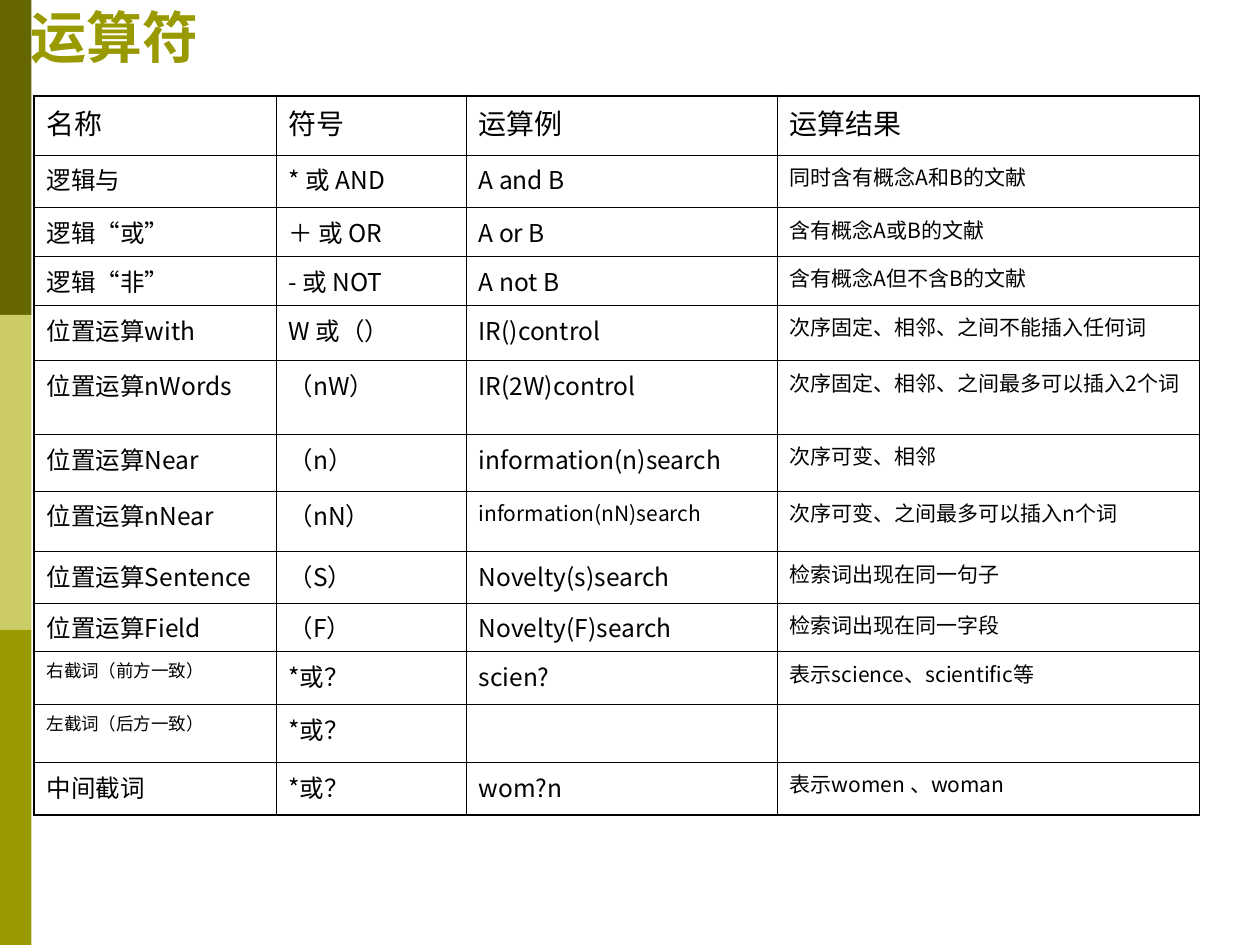
from dataclasses import dataclass
from typing import Any

from lxml.etree import SubElement
from pptx import Presentation
from pptx.dml.color import RGBColor
from pptx.enum.lang import MSO_LANGUAGE_ID
from pptx.enum.shapes import MSO_SHAPE
from pptx.enum.text import MSO_ANCHOR, MSO_AUTO_SIZE, PP_ALIGN
from pptx.oxml.ns import qn
from pptx.util import Inches, Pt

BAR_COLORS = ["666600", "CCCC66", "999900"]
COLUMN_WIDTHS = [1.92, 1.51, 2.47, 3.35]
ROW_HEIGHTS = [0.47, 0.42, 0.37, 0.39, 0.44, 0.55, 0.45,
               0.48, 0.41, 0.37, 0.42, 0.46, 0.42]
OPERATORS = [
    ["名称", "符号", "运算例", "运算结果"],
    ["逻辑与", "* 或 AND", "A and B", "同时含有概念A和B的文献"],
    ["逻辑“或”", "＋ 或 OR", "A or B", "含有概念A或B的文献"],
    ["逻辑“非”", "- 或 NOT", "A not B", "含有概念A但不含B的文献"],
    ["位置运算with", "W 或（）", "IR()control", "次序固定、相邻、之间不能插入任何词"],
    ["位置运算nWords", "（nW）", "IR(2W)control", "次序固定、相邻、之间最多可以插入2个词"],
    ["位置运算Near", "（n）", "information(n)search", "次序可变、相邻"],
    ["位置运算nNear", "（nN）", "information(nN)search", "次序可变、之间最多可以插入n个词"],
    ["位置运算Sentence", "（S）", "Novelty(s)search", "检索词出现在同一句子"],
    ["位置运算Field", "（F）", "Novelty(F)search", "检索词出现在同一字段"],
    ["右截词（前方一致）", "*或？", "scien?", "表示science、scientific等"],
    ["左截词（后方一致）", "*或？", "", ""],
    ["中间截词", "*或？", "wom?n", "表示women 、woman"],
]
HEADER_SIZE = 16
COLUMN_SIZES = [14, 14, 14, 12]
SPECIAL_SIZES = {(7, 2): 12, (10, 0): 10, (11, 0): 10}


def rgb(color):
    return RGBColor.from_string(color)


def apply(target, values):
    for name, value in values.items():
        setattr(target, name, value)


def text_size(row, column):
    if row == 0:
        return HEADER_SIZE
    return SPECIAL_SIZES.get((row, column), COLUMN_SIZES[column])


@dataclass
class OperatorSlide:
    slide: Any
    font: str = "Noto Sans CJK SC"
    accent: str = "999900"
    ink: str = "000000"
    paper: str = "FFFFFF"
    outer_line: float = 1.08
    inner_line: float = 0.45

    def text(self, paragraph, words, size, color, bold=False):
        run = paragraph.add_run()
        run.text = words
        apply(run.font, {"size": Pt(size), "bold": bold, "name": self.font,
                         "language_id": MSO_LANGUAGE_ID.SIMPLIFIED_CHINESE})
        run.font.color.rgb = rgb(color)
        SubElement(run.font._element, qn("a:ea"), typeface=self.font)

    def title(self, words, left, top, width, height):
        title = self.slide.shapes.title
        apply(title, {"left": Inches(left), "top": Inches(top),
                      "width": Inches(width), "height": Inches(height)})
        apply(title.text_frame, {
            "auto_size": MSO_AUTO_SIZE.NONE, "word_wrap": True,
            "vertical_anchor": MSO_ANCHOR.BOTTOM,
            "margin_left": Inches(0.24), "margin_right": Inches(0.1),
            "margin_top": Inches(0.05), "margin_bottom": Inches(0.05)})
        paragraph = title.text_frame.paragraphs[0]
        paragraph.alignment = PP_ALIGN.LEFT
        self.text(paragraph, words, 32, self.accent, bold=True)

    def bar(self, color, left, top, width, height):
        bar = self.slide.shapes.add_shape(
            MSO_SHAPE.RECTANGLE, Inches(left), Inches(top), Inches(width), Inches(height))
        bar.shadow.inherit = False
        bar.fill.solid()
        bar.fill.fore_color.rgb = rgb(color)
        bar.line.fill.background()

    def borders(self, cell, outer_sides):
        """Draw all four cell borders, heavier on the outer sides."""
        properties = cell._tc.get_or_add_tcPr()
        for side in "LRTB":
            width = self.outer_line if side in outer_sides else self.inner_line
            line = SubElement(properties, qn(f"a:ln{side}"), w=str(Pt(width)))
            fill = SubElement(line, qn("a:solidFill"))
            SubElement(fill, qn("a:srgbClr"), val=self.ink)

    def table(self, rows, left, top, widths, heights):
        table = self.slide.shapes.add_table(
            len(rows), len(widths), Inches(left), Inches(top),
            Inches(sum(widths)), Inches(sum(heights))).table
        apply(table, {"first_row": False, "horz_banding": False})
        for column, width in zip(table.columns, widths):
            column.width = Inches(width)
        for row, height in zip(table.rows, heights):
            row.height = Inches(height)
        for r, words_in_row in enumerate(rows):
            for c, words in enumerate(words_in_row):
                cell = table.cell(r, c)
                edges = {"L": c == 0, "R": c == len(widths) - 1,
                         "T": r == 0, "B": r == len(rows) - 1}
                self.borders(cell, [side for side, outer in edges.items() if outer])
                cell.fill.solid()
                cell.fill.fore_color.rgb = rgb(self.paper)
                if words:
                    size = text_size(r, c)
                    paragraph = cell.text_frame.paragraphs[0]
                    paragraph.space_before = Pt(size / 4)
                    self.text(paragraph, words, size, self.ink)


def main():
    presentation = Presentation()
    apply(presentation, {"slide_width": Inches(10), "slide_height": Inches(7.5)})
    page = OperatorSlide(presentation.slides.add_slide(presentation.slide_layouts[5]))
    bar_height = 7.5 / len(BAR_COLORS)
    for i, color in enumerate(BAR_COLORS):
        page.bar(color, 0, i * bar_height, 0.25, bar_height)
    page.title("运算符", 0, 0, 8.5, 0.6)
    page.table(OPERATORS, 0.27, 0.76, COLUMN_WIDTHS, ROW_HEIGHTS)
    presentation.save("out.pptx")


if __name__ == "__main__":
    main()
